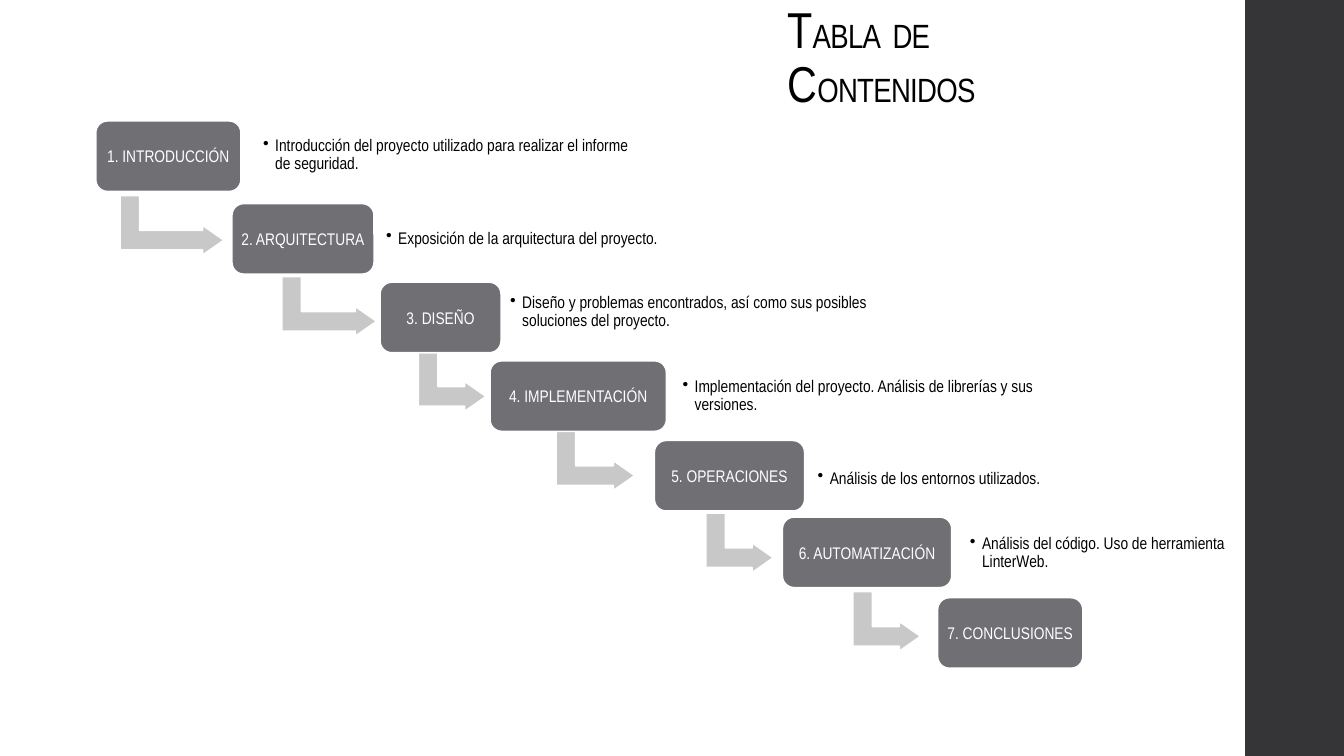
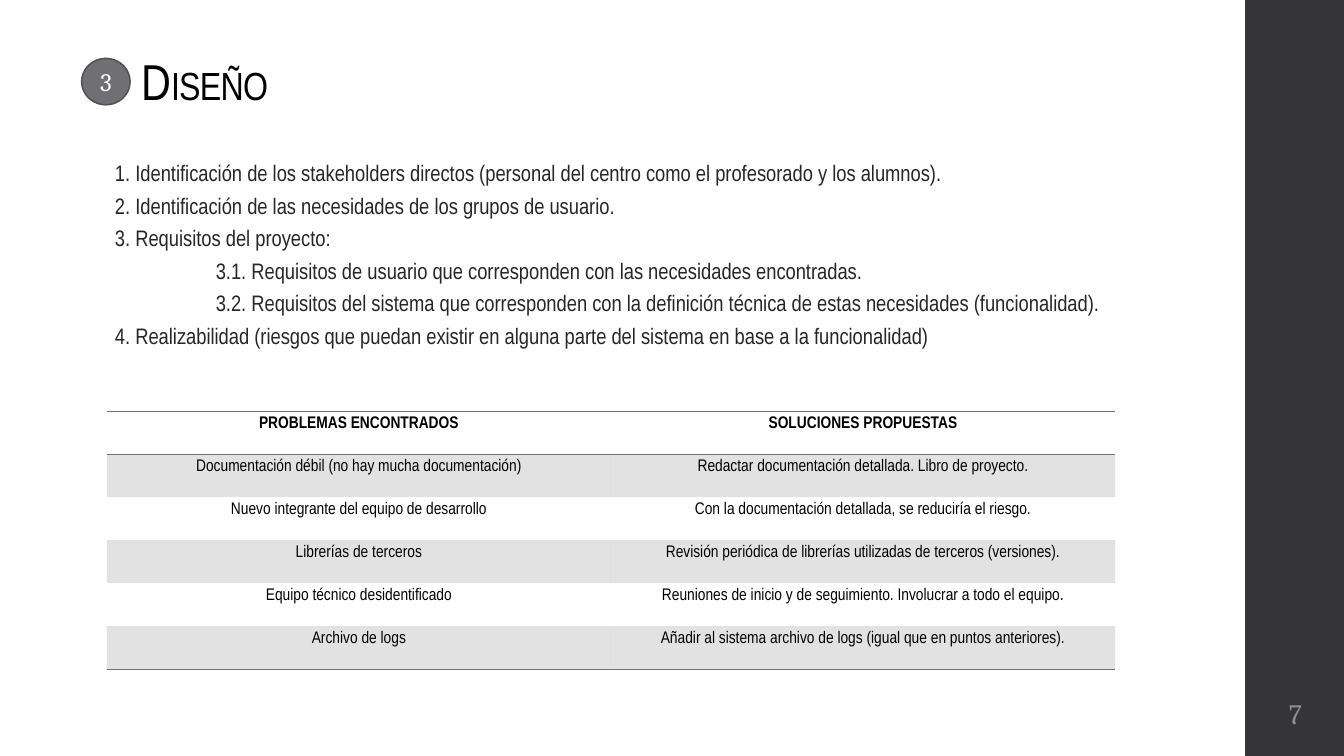
from lxml.etree import SubElement
from pptx import Presentation
from pptx.dml.color import RGBColor
from pptx.enum.shapes import MSO_SHAPE as SHAPE
from pptx.enum.text import MSO_ANCHOR as ANCHOR, MSO_AUTO_SIZE as AUTO, PP_ALIGN as ALIGN
from pptx.oxml.ns import qn
from pptx.util import Pt

PX = 9144
W, H = 1333, 750
COLORS = {
    "white": "FFFFFF", "black": "000000", "ink": "262626", "band": "353537",
    "gray": "6F6F74", "edge": "525256", "arrow": "C8C8C9", "number": "8E8E94",
}
NARROW, SERIF = "Arial Narrow", "Cambria"
NO_STYLE = "{2D5ABB26-0587-4C30-8999-92F81FD0307C}"

STEPS = [
    ("1. INTRODUCCIÓN", (95, 120, 144), (24, 74, 103), (161, 6, 375),
     "Introducción del proyecto utilizado para realizar el informe de seguridad."),
    ("2. ARQUITECTURA", (230, 202, 141), (50, 72, 94), (148, 7, 377),
     "Exposición de la arquitectura del proyecto."),
    ("3. DISEÑO", (377, 280, 120), (38, 69, 67), (124, 2, 396),
     "Diseño y problemas encontrados, así como sus posibles soluciones del proyecto."),
    ("4. IMPLEMENTACIÓN", (486, 358, 175), (66, 69, 78), (186, 7, 369),
     "Implementación del proyecto. Análisis de librerías y sus versiones."),
    ("5. OPERACIONES", (649, 437, 149), (51, 72, 67), (157, 10, 265),
     "Análisis de los entornos utilizados."),
    ("6. AUTOMATIZACIÓN", (776, 513, 168), (70, 74, 67), (181, 8, 272),
     "Análisis del código. Uso de herramienta LinterWeb."),
    ("7. CONCLUSIONES", (930, 593, 144), None, None, None),
]
POINTS = [
    (30, "1. Identificación de los stakeholders directos (personal del centro como el profesorado y los alumnos)."),
    (30, "2. Identificación de las necesidades de los grupos de usuario."),
    (30, "3. Requisitos del proyecto:"),
    (130, "3.1. Requisitos de usuario que corresponden con las necesidades encontradas."),
    (130, "3.2. Requisitos del sistema que corresponden con la definición técnica de estas necesidades (funcionalidad)."),
    (30, "4. Realizabilidad (riesgos que puedan existir en alguna parte del sistema en base a la funcionalidad)"),
]
ROWS = [
    ("PROBLEMAS ENCONTRADOS", "SOLUCIONES PROPUESTAS"),
    ("Documentación débil (no hay mucha documentación)",
     "Redactar documentación detallada. Libro de proyecto."),
    ("Nuevo integrante del equipo de desarrollo",
     "Con la documentación detallada, se reduciría el riesgo."),
    ("Librerías de terceros",
     "Revisión periódica de librerías utilizadas de terceros (versiones)."),
    ("Equipo técnico desidentificado",
     "Reuniones de inicio y de seguimiento. Involucrar a todo el equipo."),
    ("Archivo de logs",
     "Añadir al sistema archivo de logs (igual que en puntos anteriores)."),
]


def rgb(name):
    """Return a palette colour."""
    return RGBColor.from_string(COLORS[name])


def emu(*lengths):
    """Turn px lengths into EMU."""
    return [v * PX for v in lengths]


def write(p, text, size, color, font=NARROW, bold=False):
    """Add one formatted run."""
    r = p.add_run()
    r.text = text
    r.font.size, r.font.name, r.font.bold = Pt(size), font, bold
    r.font.color.rgb = rgb(color)


def frame(sp, anchor, inset=None):
    """Set wrapping, anchor and equal insets of a shape's text."""
    tf = sp.text_frame
    tf.word_wrap, tf.auto_size, tf.vertical_anchor = True, AUTO.NONE, anchor
    if inset is not None:
        tf.margin_left, tf.margin_top, tf.margin_right, tf.margin_bottom = emu(*[inset] * 4)
    return tf


def indent(sp, lefts, hanging=0, bullet=None):
    """Set the indents and bullet of every paragraph."""
    for para, left in zip(sp.element.iter(qn("a:p")), lefts):
        pPr = para.get_or_add_pPr()
        pPr.set("marL", str(left * PX))
        pPr.set("indent", str(-hanging * PX))
        if bullet:
            SubElement(pPr, qn("a:buChar")).set("char", bullet)
        else:
            SubElement(pPr, qn("a:buNone"))


def solid(s, kind, box, fill, line=None):
    """Add a filled preset shape."""
    sp = s.shapes.add_shape(kind, *emu(*box))
    sp.shadow.inherit = False
    sp.fill.solid()
    sp.fill.fore_color.rgb = rgb(fill)
    if line:
        sp.line.color.rgb = rgb(line)
        sp.line.width = Pt(1.1)
    else:
        sp.line.fill.background()
    return sp


def label(sp, text, size, color, font=NARROW, inset=5):
    """Centre one line of text in a shape."""
    p = frame(sp, ANCHOR.MIDDLE, inset).paragraphs[0]
    p.alignment = ALIGN.CENTER
    write(p, text, size, color, font)


def place(sp, box):
    """Move and size a placeholder."""
    sp.left, sp.top, sp.width, sp.height = emu(*box)


def title(s, box, parts, right=10):
    """Fill the title with runs of large and small capitals."""
    sp = s.shapes.title
    place(sp, box)
    tf = frame(sp, ANCHOR.BOTTOM)
    tf.margin_right = right * PX
    p = tf.paragraphs[0]
    p.alignment, p.line_spacing = ALIGN.LEFT, 0.9
    for text, size in parts:
        write(p, text, size, "black")
    for rPr in sp.element.iter(qn("a:rPr")):
        rPr.set("spc", "-50")


def side_band(prs, s):
    """Put the dark right band on the master."""
    band = solid(s, SHAPE.RECTANGLE, (1235, 0, 100, H), "band")
    prs.slide_master.element.cSld.spTree.insert(2, band.element)


def step(s, box, name, arrow, note, text):
    """Draw one step with its note and the arrow to the next."""
    x, y, w = box
    if arrow:
        dx, dy, length = arrow
        thick = 59
        shift = (length - thick) // 2
        sp = solid(s, SHAPE.BENT_UP_ARROW,
                   (x + dx + shift, y + dy - shift, thick, length), "arrow", "white")
        sp.rotation = 90
        for i, value in enumerate((0.328, 0.25, 0.358)):
            sp.adjustments[i] = value
    label(solid(s, SHAPE.ROUNDED_RECTANGLE, (x, y, w, 70), "gray", "white"), name, 12, "white")
    if note:
        dx, dy, width = note
        tb = s.shapes.add_textbox(*emu(x + dx, y + dy, width, 56))
        p = frame(tb, ANCHOR.MIDDLE, 5).paragraphs[0]
        p.line_spacing = 0.9
        write(p, text, 12, "black")
        indent(tb, [12], 12, "•")


def points(s, box):
    """Fill the body with the numbered points."""
    sp = s.placeholders[1]
    place(sp, box)
    tf = frame(sp, ANCHOR.TOP)
    tf.margin_top = 37 * PX
    for i, (_, text) in enumerate(POINTS):
        p = tf.add_paragraph() if i else tf.paragraphs[0]
        p.line_spacing, p.space_before, p.space_after = 0.9, Pt(3), Pt(3)
        write(p, text, 16, "ink")
    indent(sp, [left for left, _ in POINTS])


def rule(tcPr, side, index):
    """Add one cell border."""
    ln = tcPr.makeelement(qn("a:" + side), {"w": str(Pt(1))})
    fill = SubElement(ln, qn("a:solidFill"))
    SubElement(fill, qn("a:srgbClr")).set("val", COLORS["gray"])
    tcPr.insert(index, ln)


def problem_table(s, box):
    """Draw the table of problems and solutions."""
    rows, cols = len(ROWS), len(ROWS[0])
    gf = s.shapes.add_table(rows, cols, *emu(*box))
    table = gf.table
    table.first_row = table.horz_banding = False
    next(gf.element.iter(qn("a:tableStyleId"))).text = NO_STYLE
    for row in table.rows:
        row.height = box[3] * PX // rows
    for n, tc in enumerate(gf.element.iter(qn("a:tc"))):
        i, j = divmod(n, cols)
        cell = table.cell(i, j)
        p = cell.text_frame.paragraphs[0]
        p.alignment = ALIGN.CENTER
        write(p, ROWS[i][j], 12, "black", bold=i == 0)
        tcPr = tc.get_or_add_tcPr()
        if i % 2:
            cell.fill.solid()
            cell.fill.fore_color.rgb = rgb("gray")
            SubElement(next(tcPr.iter(qn("a:srgbClr"))), qn("a:alpha")).set("val", "20000")
        else:
            cell.fill.background()
        if i in (0, rows - 1):
            rule(tcPr, "lnB", 0)
        if i == 0:
            rule(tcPr, "lnT", 0)


def contents_slide(prs):
    """Build the table of contents."""
    s = prs.slides.add_slide(prs.slide_layouts[5])
    side_band(prs, s)
    title(s, (771, 41, 356, 77), [("T", 36), ("ABLA", 24), (" ", 36), ("DE", 24),
                                  (" C", 36), ("ONTENIDOS", 24)], right=50)
    for name, box, arrow, note, text in STEPS:
        step(s, box, name, arrow, note, text)


def design_slide(prs):
    """Build the design slide."""
    s = prs.slides.add_slide(prs.slide_layouts[1])
    title(s, (130, 39, 356, 77), [("D", 36), ("ISEÑO", 28)])
    label(solid(s, SHAPE.OVAL, (81, 58, 48, 46), "gray", "edge"), "3", 18, "white", SERIF)
    points(s, (74, 124, 1130, 259))
    problem_table(s, (106, 408, 1000, 256))
    label(s.shapes.add_textbox(*emu(1235, 675, 100, 65)), "7", 20, "number", SERIF)


def main():
    """Build and save the presentation."""
    prs = Presentation()
    prs.slide_width, prs.slide_height = emu(W, H)
    contents_slide(prs)
    design_slide(prs)
    prs.save("out.pptx")


if __name__ == "__main__":
    main()
